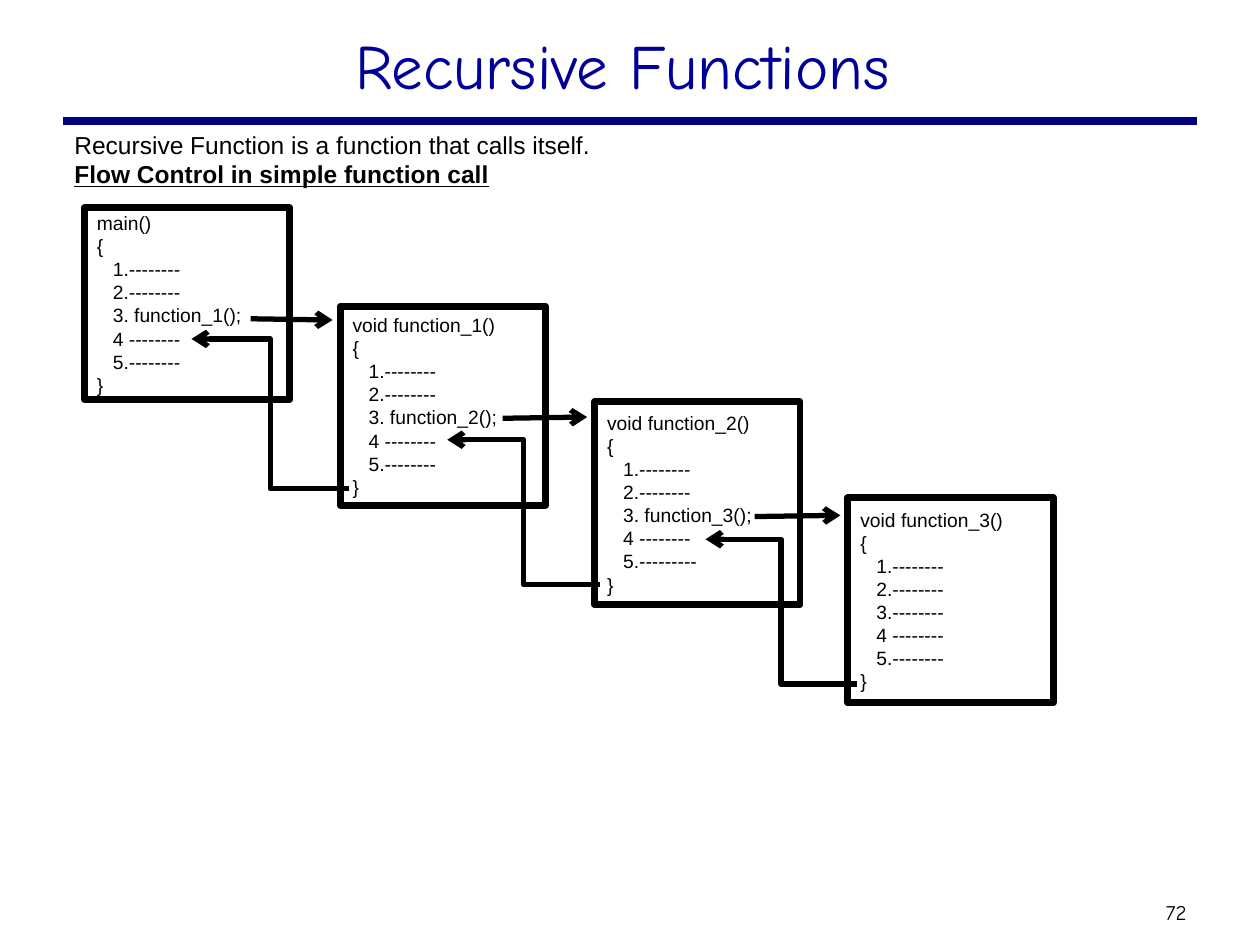
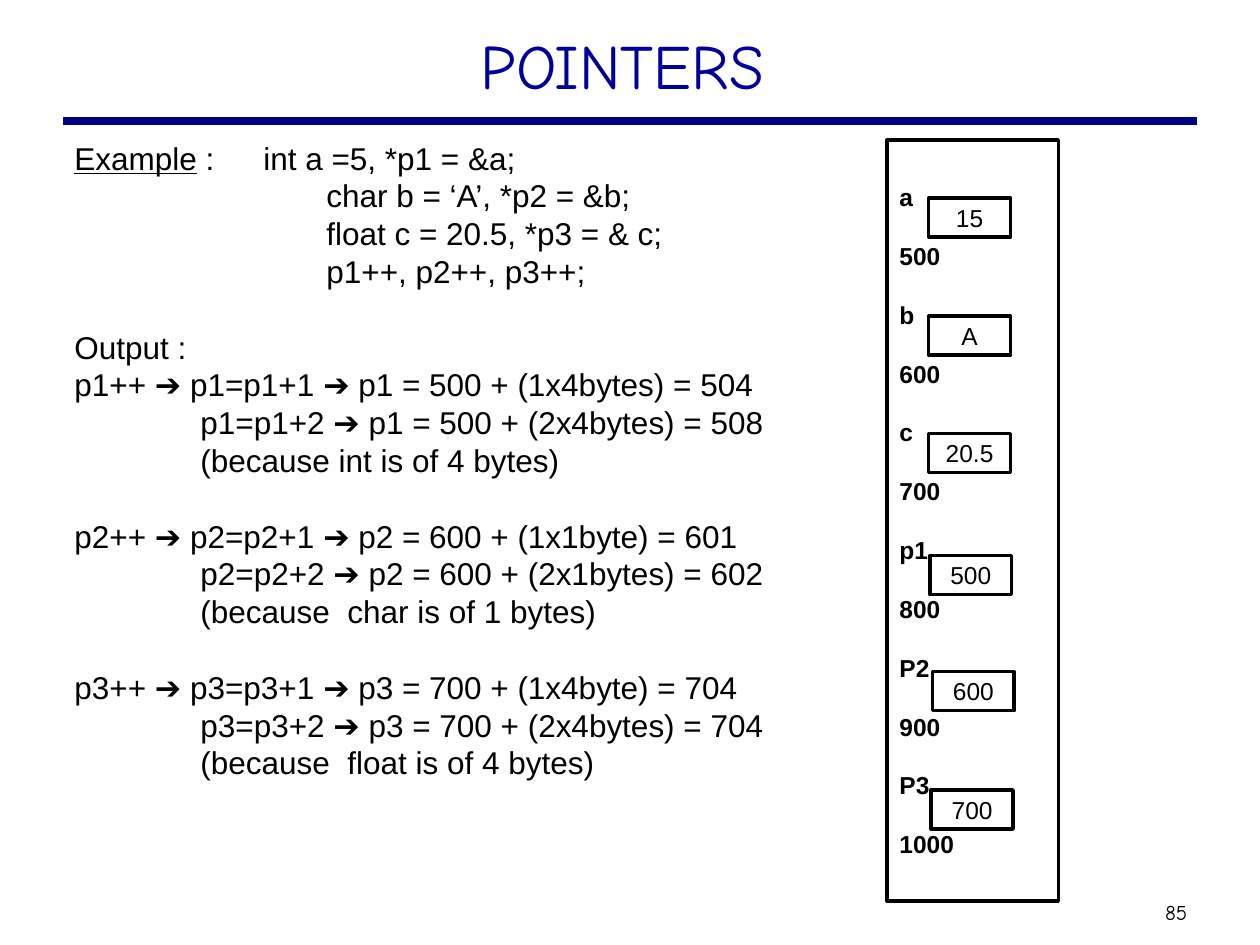
"""Build two C programming slides: recursive function flow and pointer arithmetic."""
from dataclasses import dataclass
from typing import Any, Optional

from lxml.etree import SubElement
from pptx import Presentation
from pptx.dml.color import RGBColor
from pptx.enum.shapes import MSO_CONNECTOR as Link, MSO_SHAPE as Preset
from pptx.enum.text import MSO_ANCHOR as Anchor, MSO_AUTO_SIZE as AutoSize, PP_ALIGN as Align
from pptx.oxml.ns import qn
from pptx.util import Inches, Pt


@dataclass(frozen=True)
class Theme:
    """Colours, fonts and sizes in points."""
    ink: RGBColor = RGBColor(0, 0, 0)
    heading: RGBColor = RGBColor(0, 0, 0x99)
    band: RGBColor = RGBColor(0, 0, 0x80)
    text_font: str = "Arial"
    display_font: str = "Comic Neue"
    title_size: float = 36
    example_size: float = 18
    note_size: float = 14
    number_size: float = 12
    code_size: float = 11
    leading: float = 1.2
    band_width: float = 4.5
    frame_width: float = 4
    arrow_width: float = 3
    cell_width: float = 2


THEME = Theme()


@dataclass(frozen=True)
class Area:
    """A rectangle in inches."""
    left: float
    top: float
    width: float
    height: float

    def lengths(self) -> tuple:
        """Return the rectangle as lengths."""
        return tuple(Inches(v) for v in (self.left, self.top, self.width, self.height))


@dataclass(frozen=True)
class Line:
    """One paragraph, with an optional underlined lead and a gap counted in lines."""
    text: str
    lead: str = ""
    indent: float = 0
    gap: float = 0
    tab: Optional[float] = None
    bold: bool = False
    underline: bool = False


@dataclass(frozen=True)
class Function:
    """A framed listing in the call chain."""
    header: str
    frame: Area
    call: str = "--------"
    last_step: str = "--------"

    def lines(self) -> list[Line]:
        """Return the listing of the function."""
        steps = ["1.--------", "2.--------", f"3.{self.call}", "4 --------", f"5.{self.last_step}"]
        return [Line(t) for t in (self.header, "{", *(f"   {s}" for s in steps), "}")]


@dataclass(frozen=True)
class Arrow:
    """A call or return between two functions."""
    start: tuple[float, float]
    end: tuple[float, float]
    kind: Any = Link.STRAIGHT


@dataclass(frozen=True)
class Variable:
    """A variable in memory with its address and stored value."""
    name: str
    address: str
    value: str
    left: float
    top: float


FUNCTIONS = [
    Function("main()", Area(0.67, 1.65, 1.63, 1.52), " function_1();"),
    Function("void function_1()", Area(2.7, 2.43, 1.63, 1.58), " function_2();"),
    Function("void function_2()", Area(4.72, 3.19, 1.63, 1.61), " function_3();", "---------"),
    Function("void function_3()", Area(6.73, 3.95, 1.63, 1.63)),
]
ARROWS = [
    Arrow((1.99, 2.53), (2.64, 2.54)),
    Arrow((3.99, 3.32), (4.66, 3.31)),
    Arrow((5.99, 4.1), (6.67, 4.09)),
    Arrow((6.8, 5.43), (5.6, 4.28), Link.ELBOW),
    Arrow((4.76, 4.64), (3.55, 3.49), Link.ELBOW),
    Arrow((2.77, 3.88), (1.52, 2.69), Link.ELBOW),
]
DEFINITION = [
    Line("Recursive Function is a function that calls itself."),
    Line("Flow Control in simple function call", bold=True, underline=True),
]
EXAMPLE = [
    Line(" :\tint a =5, *p1 = &a;", lead="Example", tab=2),
    Line("char b = ‘A’, *p2 = &b;", indent=2),
    Line("float c = 20.5, *p3 = & c;", indent=2),
    Line("p1++, p2++, p3++;", indent=2),
    Line("Output :", gap=1),
    Line("p1++ ➔ p1=p1+1 ➔ p1 = 500 + (1x4bytes) = 504"),
    Line("p1=p1+2 ➔ p1 = 500 + (2x4bytes) = 508", indent=1),
    Line("(because int is of 4 bytes)", indent=1),
    Line("p2++ ➔ p2=p2+1 ➔ p2 = 600 + (1x1byte) = 601", gap=1),
    Line("p2=p2+2 ➔ p2 = 600 + (2x1bytes) = 602", indent=1),
    Line("(because  char is of 1 bytes)", indent=1),
    Line("p3++ ➔ p3=p3+1 ➔ p3 = 700 + (1x4byte) = 704", gap=1),
    Line("p3=p3+2 ➔ p3 = 700 + (2x4bytes) = 704", indent=1),
    Line("(because  float is of 4 bytes)", indent=1),
]
VARIABLES = [
    Variable("a", "500", "15", 7.37, 1.57),
    Variable("b", "600", "A", 7.37, 2.51),
    Variable("c", "700", "20.5", 7.37, 3.44),
    Variable("p1", "800", "500", 7.38, 4.41),
    Variable("P2", "900", "600", 7.4, 5.33),
    Variable("P3", "1000", "700", 7.39, 6.27),
]


def apply(target: Any, formats: dict[str, Any]) -> None:
    """Set each named format value on the target."""
    for name, value in formats.items():
        setattr(target, name, value)


def format_font(font: Any, name: str, size: float, color: RGBColor) -> None:
    """Set typeface, size and colour."""
    apply(font, {"name": name, "size": Pt(size)})
    font.color.rgb = color


def prepare_frame(shape: Any, anchor: Any, side: float = 0.1) -> Any:
    """Set wrapping, anchor and margins, and return the text frame."""
    frame = shape.text_frame
    apply(frame, {
        "word_wrap": True, "auto_size": AutoSize.NONE, "vertical_anchor": anchor,
        "margin_left": Inches(side), "margin_right": Inches(side),
        "margin_top": Inches(0.05), "margin_bottom": Inches(0.05),
    })
    return frame


def write_lines(frame: Any, lines: list[Line], size: float, align: Any = Align.LEFT) -> None:
    """Fill a text frame with unbulleted paragraphs."""
    pitch = size * THEME.leading
    for index, line in enumerate(lines):
        paragraph = frame.add_paragraph() if index else frame.paragraphs[0]
        properties = paragraph._p.get_or_add_pPr()
        properties.set("marL", str(Inches(line.indent)))
        properties.set("indent", "0")
        SubElement(properties, qn("a:buNone"))
        if line.tab is not None:
            stops = SubElement(properties, qn("a:tabLst"))
            SubElement(stops, qn("a:tab"), pos=str(Inches(line.tab)), algn="l")
        apply(paragraph, {
            "alignment": align, "line_spacing": Pt(pitch),
            "space_before": Pt(pitch * line.gap), "space_after": Pt(0),
        })
        for text, underline in ((line.lead, True), (line.text, line.underline)):
            if text:
                run = paragraph.add_run()
                run.text = text
                format_font(run.font, THEME.text_font, size, THEME.ink)
                apply(run.font, {"bold": line.bold, "underline": underline})


def place(shape: Any, area: Area) -> None:
    """Move and resize a placeholder."""
    apply(shape, dict(zip(("left", "top", "width", "height"), area.lengths())))


def draw_line(slide: Any, arrow: Arrow, color: RGBColor, width: float, head: bool = True) -> None:
    """Draw a connector, with an arrowhead at its end if wanted."""
    points = [Inches(v) for v in (*arrow.start, *arrow.end)]
    connector = slide.shapes.add_connector(arrow.kind, *points)
    connector.line.color.rgb = color
    connector.line.width = Pt(width)
    if head:
        SubElement(connector.line._get_or_add_ln(), qn("a:tailEnd"), type="arrow")
    SubElement(connector._element.spPr, qn("a:effectLst"))


def draw_box(slide: Any, area: Area, border: float, lines: list[Line], size: float,
             align: Any = Align.LEFT) -> None:
    """Draw an outlined rectangle with text in it."""
    box = slide.shapes.add_shape(Preset.RECTANGLE, *area.lengths())
    box.shadow.inherit = False
    box.fill.background()
    box.line.color.rgb = THEME.ink
    box.line.width = Pt(border)
    write_lines(prepare_frame(box, Anchor.MIDDLE), lines, size, align)


def write_single(frame: Any, text: str, size: float, color: RGBColor) -> None:
    """Write one centred line in the display font."""
    paragraph = frame.paragraphs[0]
    paragraph.alignment = Align.CENTER
    run = paragraph.add_run()
    run.text = text
    format_font(run.font, THEME.display_font, size, color)


def start_slide(deck: Any, title: str, number: str, body: Area, lines: list[Line],
                size: float, align: Any = Align.LEFT) -> Any:
    """Add a slide with its band, page number, title and body."""
    slide = deck.slides.add_slide(deck.slide_layouts[1])
    draw_line(slide, Arrow((0.5, 0.96), (9.5, 0.96)), THEME.band, THEME.band_width, head=False)
    page = slide.shapes.add_textbox(*Area(9.1, 7.09, 0.47, 0.3).lengths())
    write_single(prepare_frame(page, Anchor.MIDDLE, 0.05), number, THEME.number_size, THEME.ink)
    heading, content = slide.shapes.title, slide.placeholders[1]
    place(heading, Area(0.69, 0.16, 8.5, 0.76))
    write_single(prepare_frame(heading, Anchor.TOP), title, THEME.title_size, THEME.heading)
    place(content, body)
    write_lines(prepare_frame(content, Anchor.TOP), lines, size, align)
    return slide


def build_recursion(deck: Any) -> None:
    """Build the slide on calls between functions."""
    slide = start_slide(deck, "Recursive Functions", "72", Area(0.49, 0.98, 9.04, 6.16),
                        DEFINITION, THEME.note_size, Align.JUSTIFY)
    for function in FUNCTIONS:
        draw_box(slide, function.frame, THEME.frame_width, function.lines(), THEME.code_size)
    for arrow in ARROWS:
        draw_line(slide, arrow, THEME.ink, THEME.arrow_width)


def build_pointers(deck: Any) -> None:
    """Build the slide on pointer increments and memory."""
    slide = start_slide(deck, "POINTERS", "85", Area(0.49, 1.05, 9, 5.99),
                        EXAMPLE, THEME.example_size)
    labels = [text for v in VARIABLES for text in (v.name, v.address)]
    memory = [Line(text, gap=min(i, 1), bold=True) for i, text in enumerate(labels)]
    draw_box(slide, Area(7.04, 1.11, 1.36, 6.04), THEME.cell_width, memory, THEME.note_size)
    for variable in VARIABLES:
        draw_box(slide, Area(variable.left, variable.top, 0.65, 0.31), THEME.cell_width,
                 [Line(variable.value)], THEME.note_size, Align.CENTER)


def main() -> None:
    """Create and save the presentation."""
    deck = Presentation()
    apply(deck, {"slide_width": Inches(10), "slide_height": Inches(7.5)})
    build_recursion(deck)
    build_pointers(deck)
    deck.save("out.pptx")


if __name__ == "__main__":
    main()
